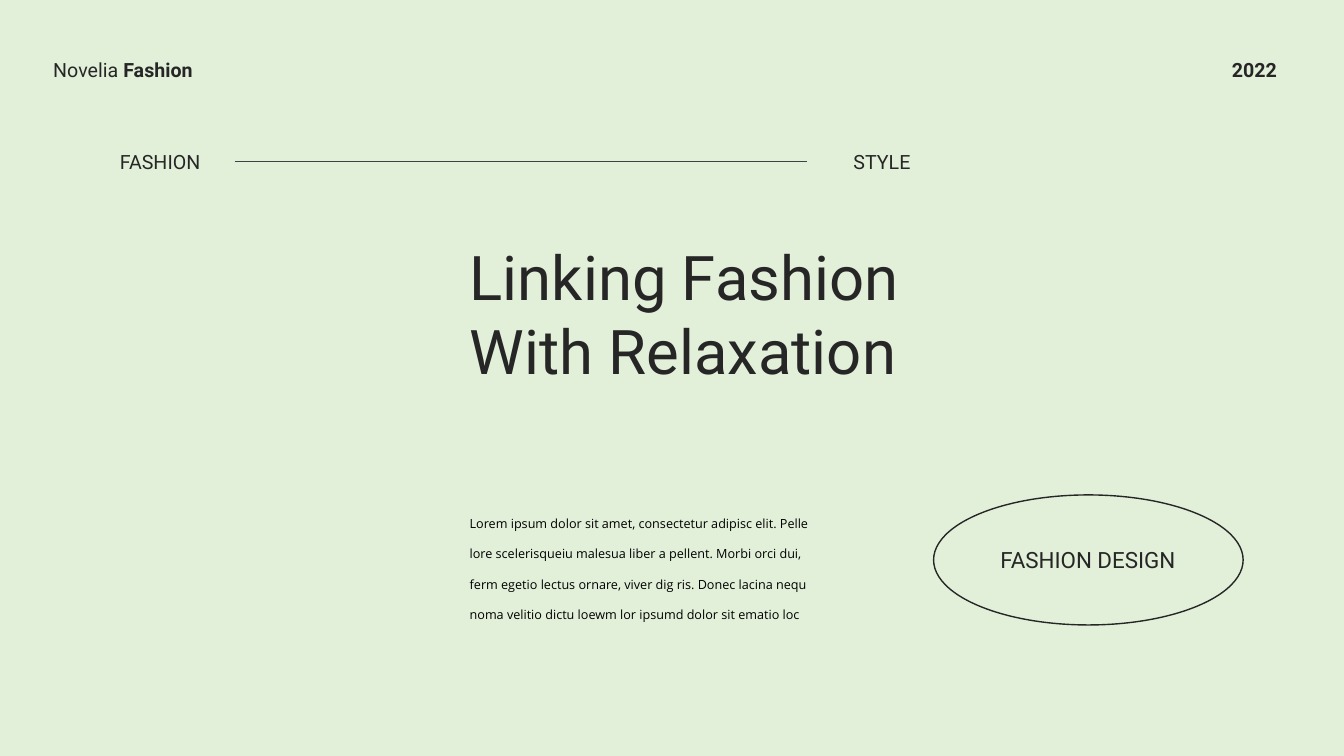
from lxml.etree import SubElement
from pptx import Presentation
from pptx.dml.color import RGBColor
from pptx.enum.shapes import MSO_CONNECTOR as CONN, MSO_SHAPE as SHAPE
from pptx.enum.text import MSO_ANCHOR as ANCHOR, MSO_AUTO_SIZE as AUTO, PP_ALIGN as ALIGN
from pptx.oxml.ns import qn
from pptx.util import Inches, Pt

INK = "262626"
MARGIN, LABEL_W, LINE_H = 0.43, 1.13, 0.34
HEAD_Y, LABEL_Y = 0.53, 1.44
TEXT_X, STYLE_X = 4.56, 8


def rgb(value):
    return RGBColor.from_string(value)


def write(sp, box, runs, size, align=ALIGN.LEFT, wrap=True, font="Roboto", color=INK, spacing=1):
    sp.left, sp.top, sp.width, sp.height = [Inches(v) for v in box]
    tf = sp.text_frame
    tf.word_wrap = wrap
    tf.auto_size = AUTO.SHAPE_TO_FIT_TEXT
    tf.vertical_anchor = ANCHOR.TOP
    p = tf.paragraphs[0]
    p.alignment = align
    p.line_spacing = spacing
    for text, bold in runs:
        r = p.add_run()
        r.text = text
        r.font.name = font
        r.font.size = Pt(size)
        r.font.bold = bold
        r.font.color.rgb = rgb(color)


prs = Presentation()
prs.slide_width, prs.slide_height = Inches(13.33), Inches(7.5)
s = prs.slides.add_slide(prs.slide_layouts[5])
s.background.fill.solid()
s.background.fill.fore_color.rgb = rgb("E2F0D9")

write(s.shapes.title, (TEXT_X, 2.32, 4.91, 1.58), [("Linking Fashion With Relaxation", False)], 44)

labels = [
    ((MARGIN, HEAD_Y, 1.83, LINE_H), [("Novelia ", False), ("Fashion", True)], 14, ALIGN.LEFT, False),
    ((12.12, HEAD_Y, 0.68, LINE_H), [("2022", True)], 14, ALIGN.LEFT, False),
    ((1.09, LABEL_Y, LABEL_W, LINE_H), [("FASHION", False)], 14, ALIGN.LEFT, True),
    ((STYLE_X, LABEL_Y, LABEL_W, LINE_H), [("STYLE", False)], 14, ALIGN.RIGHT, True),
]
for box, runs, size, align, wrap in labels:
    write(s.shapes.add_textbox(0, 0, 0, 0), box, runs, size, align, wrap)

rule = s.shapes.add_connector(CONN.STRAIGHT, Inches(2.33), Inches(1.6), Inches(STYLE_X), Inches(1.6))
rule.line.color.rgb = rgb("404040")
rule.line.width = Pt(0.5)
SubElement(rule.element.spPr, qn("a:effectLst"))

intro = (
    "Lorem ipsum dolor sit amet, consectetur adipisc elit. Pelle "
    "lore scelerisqueiu malesua liber a pellent. Morbi orci dui, "
    "ferm egetio lectus ornare, viver dig ris. Donec lacina nequ "
    "noma velitio dictu loewm lor ipsumd dolor sit ematio loc"
)
write(s.shapes.add_textbox(0, 0, 0, 0), (TEXT_X, 4.92, 3.61, 1.27), [(intro, False)], 9,
      font="Open Sans", color="000000", spacing=2)

badge = s.shapes.add_shape(SHAPE.OVAL, Inches(9.26), Inches(4.91), Inches(3.07), Inches(1.29))
badge.shadow.inherit = False
badge.fill.background()
badge.line.color.rgb = rgb(INK)
badge.line.width = Pt(1)
write(s.shapes.add_textbox(0, 0, 0, 0), (9.6, 5.37, 2.38, 0.37), [("FASHION DESIGN", False)], 16, ALIGN.CENTER)

prs.save("out.pptx")
